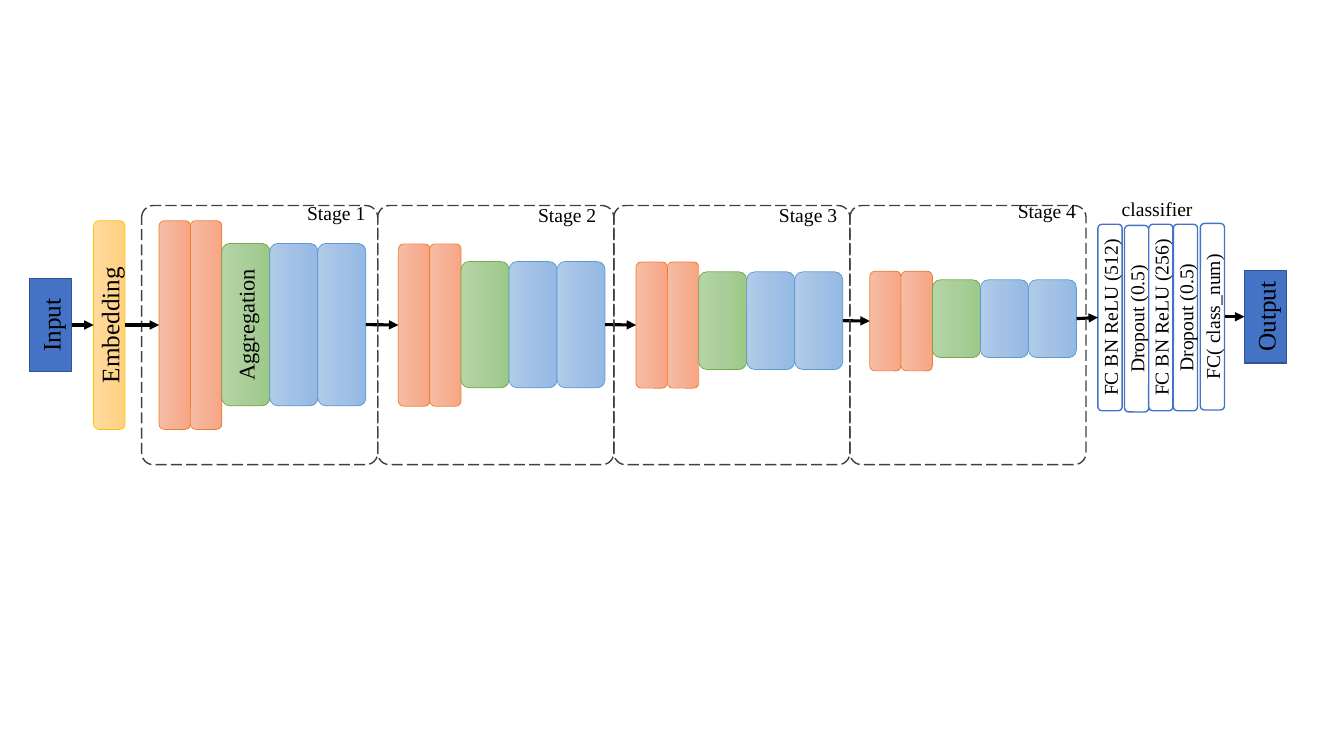
from copy import deepcopy

from lxml.etree import SubElement
from pptx import Presentation
from pptx.dml.color import RGBColor
from pptx.enum.dml import MSO_LINE
from pptx.enum.shapes import MSO_CONNECTOR, MSO_SHAPE
from pptx.enum.text import MSO_ANCHOR, MSO_AUTO_SIZE, PP_ALIGN
from pptx.oxml.ns import qn
from pptx.util import Cm, Pt

COLORS = {
    "black": "000000", "white": "FFFFFF", "frame": "404040",
    "blue": "4472C4", "navy": "325491",
}
GRADIENTS = {
    "yellow": (("FFDB9E", "FFD590", "FFD07C"), "FFC000"),
    "orange": (("F7BDA5", "F5B196", "F8A582"), "ED7D31"),
    "green": (("B5D5A7", "AACE9A", "9CC987"), "70AD47"),
    "sky": (("B1CBE9", "A3C1E5", "93B9E4"), "5B9BD5"),
}
STAGE_PARTS = [("orange", 0.79), ("orange", 0.79), ("green", 1.21), ("sky", 1.21), ("sky", 1.21)]
STAGES = [
    (4.01, (5.26, 8.19), (4.09, 8.18)),
    (10.04, (4.09, 8.19), (3.18, 8.18)),
    (16.03, (3.18, 8.19), (2.46, 8.08)),
    (21.92, (2.51, 8.09), (1.96, 8.03)),
]
CLASSIFIER = [
    ("FC BN ReLU (512)", 27.67, 8), ("Dropout (0.5)", 28.34, 8.03),
    ("FC BN ReLU (256)", 28.95, 8), ("Dropout (0.5)", 29.57, 8),
    ("FC( class_num)", 30.25, 7.98),
]
LABELS = [
    ("Stage 1", 7.49, 4.95, 2.01), ("Stage 2", 13.31, 4.98, 2.01),
    ("Stage 3", 19.38, 5, 2.01), ("Stage 4", 25.4, 4.9, 2.01),
    ("classifier", 28.02, 4.83, 2.35),
]


def write(tf, text, size=14, align=PP_ALIGN.LEFT, color="black", font="Times New Roman"):
    """Put one formatted line of text into a text frame."""
    p = tf.paragraphs[0]
    p.alignment = align
    r = p.add_run()
    r.text = text
    r.font.size = Pt(size)
    r.font.name = font
    r.font.color.rgb = RGBColor.from_string(COLORS[color])


class Diagram:
    """Draw the elements of a network diagram on one slide."""

    def __init__(self, slide):
        """Keep the slide to draw on."""
        self.shapes = slide.shapes

    def outline(self, sp, color, width):
        """Set the line of a shape and drop its shadow."""
        sp.shadow.inherit = False
        sp.line.color.rgb = RGBColor.from_string(color)
        sp.line.width = Pt(width)

    def upright(self, kind, left, mid, width, height, text, size):
        """Add a bar turned by 270 degrees, placed by its visible left and middle."""
        sp = self.shapes.add_shape(kind, Cm(left + (width - height) / 2), Cm(mid - width / 2),
                                   Cm(height), Cm(width))
        sp.rotation = 270
        tf = sp.text_frame
        tf.word_wrap = True
        tf.vertical_anchor = MSO_ANCHOR.MIDDLE
        if text:
            write(tf, text, size=size, align=PP_ALIGN.CENTER)
        return sp

    def solid(self, kind, left, mid, width, height, text, size, fill, line):
        """Add an upright bar with a plain fill."""
        sp = self.upright(kind, left, mid, width, height, text, size)
        sp.fill.solid()
        sp.fill.fore_color.rgb = RGBColor.from_string(COLORS[fill])
        self.outline(sp, COLORS[line], 1)
        return sp

    def layer(self, left, mid, width, height, name, text="", size=18):
        """Add an upright rounded bar with a three-stop gradient."""
        sp = self.upright(MSO_SHAPE.ROUNDED_RECTANGLE, left, mid, width, height, text, size)
        stops, line = GRADIENTS[name]
        sp.fill.gradient()
        sp.fill.gradient_angle = 270
        gs_list = sp._element.spPr.find(qn("a:gradFill")).find(qn("a:gsLst"))
        gs_list.insert(1, deepcopy(gs_list[0]))
        for stop, position, color in zip(sp.fill.gradient_stops, (0, 0.5, 1), stops):
            stop.position = position
            stop.color.rgb = RGBColor.from_string(color)
        self.outline(sp, line, 0.5)
        return sp

    def stage(self, left, tall, short, text):
        """Add the five layers of a stage and return the first and last."""
        layers = []
        for name, width in STAGE_PARTS:
            height, mid = tall if name == "orange" else short
            label = text if name == "green" else ""
            layers.append(self.layer(left, mid, width, height, name, label, 16))
            left += width
        return layers[0], layers[-1]

    def frame(self, index):
        """Add the dashed frame of a stage."""
        sp = self.shapes.add_shape(MSO_SHAPE.ROUNDED_RECTANGLE, Cm(3.57 + 5.95 * index),
                                   Cm(5.18), Cm(5.95), Cm(6.53))
        sp.adjustments[0] = 0.05
        sp.fill.background()
        self.outline(sp, COLORS["frame"], 1)
        sp.line.dash_style = MSO_LINE.LONG_DASH

    def arrow(self, source, target):
        """Join the visible right of one bar to the visible left of the next."""
        cn = self.shapes.add_connector(MSO_CONNECTOR.STRAIGHT, 0, 0, 0, 0)
        cn.begin_connect(source, 2)
        cn.end_connect(target, 0)
        cn.begin_x = source.left + (source.width + source.height) // 2
        cn.begin_y = source.top + source.height // 2
        cn.end_x = target.left + (target.width - target.height) // 2
        cn.end_y = target.top + target.height // 2
        cn.line.color.rgb = RGBColor.from_string(COLORS["black"])
        cn.line.width = Pt(2.25)
        SubElement(cn.line._get_or_add_ln(), qn("a:tailEnd"), type="triangle")
        SubElement(cn._element.spPr, qn("a:effectLst"))

    def label(self, text, left, top, width):
        """Add a one-line caption."""
        tf = self.shapes.add_textbox(Cm(left), Cm(top), Cm(width), Cm(0.86)).text_frame
        tf.word_wrap = False
        tf.auto_size = MSO_AUTO_SIZE.SHAPE_TO_FIT_TEXT
        write(tf, text)


def main():
    """Build the slide and save it."""
    prs = Presentation()
    prs.slide_width, prs.slide_height = Cm(33.87), Cm(19.05)
    d = Diagram(prs.slides.add_slide(prs.slide_layouts[6]))

    d.frame(0)
    source = d.solid(MSO_SHAPE.RECTANGLE, 0.74, 8.19, 1.07, 2.34, "Input", 18, "blue", "navy")
    embedding = d.layer(2.36, 8.19, 0.79, 5.26, "yellow", "Embedding")
    steps = [(source, source), (embedding, embedding)]
    for i, (left, tall, short) in enumerate(STAGES):
        steps.append(d.stage(left, tall, short, "" if i else "Aggregation"))
    heads = [d.solid(MSO_SHAPE.ROUNDED_RECTANGLE, left, mid, 0.61, 4.7, text, 14, "white", "blue")
             for text, left, mid in CLASSIFIER]
    output = d.solid(MSO_SHAPE.RECTANGLE, 31.36, 7.98, 1.07, 2.34, "Output", 18, "blue", "navy")
    steps += [(heads[0], heads[-1]), (output, output)]

    for (_, last), (first, _) in zip(steps, steps[1:]):
        d.arrow(last, first)
    for i in range(1, len(STAGES)):
        d.frame(i)
    for text, left, top, width in LABELS:
        d.label(text, left, top, width)
    prs.save("out.pptx")


if __name__ == "__main__":
    main()
